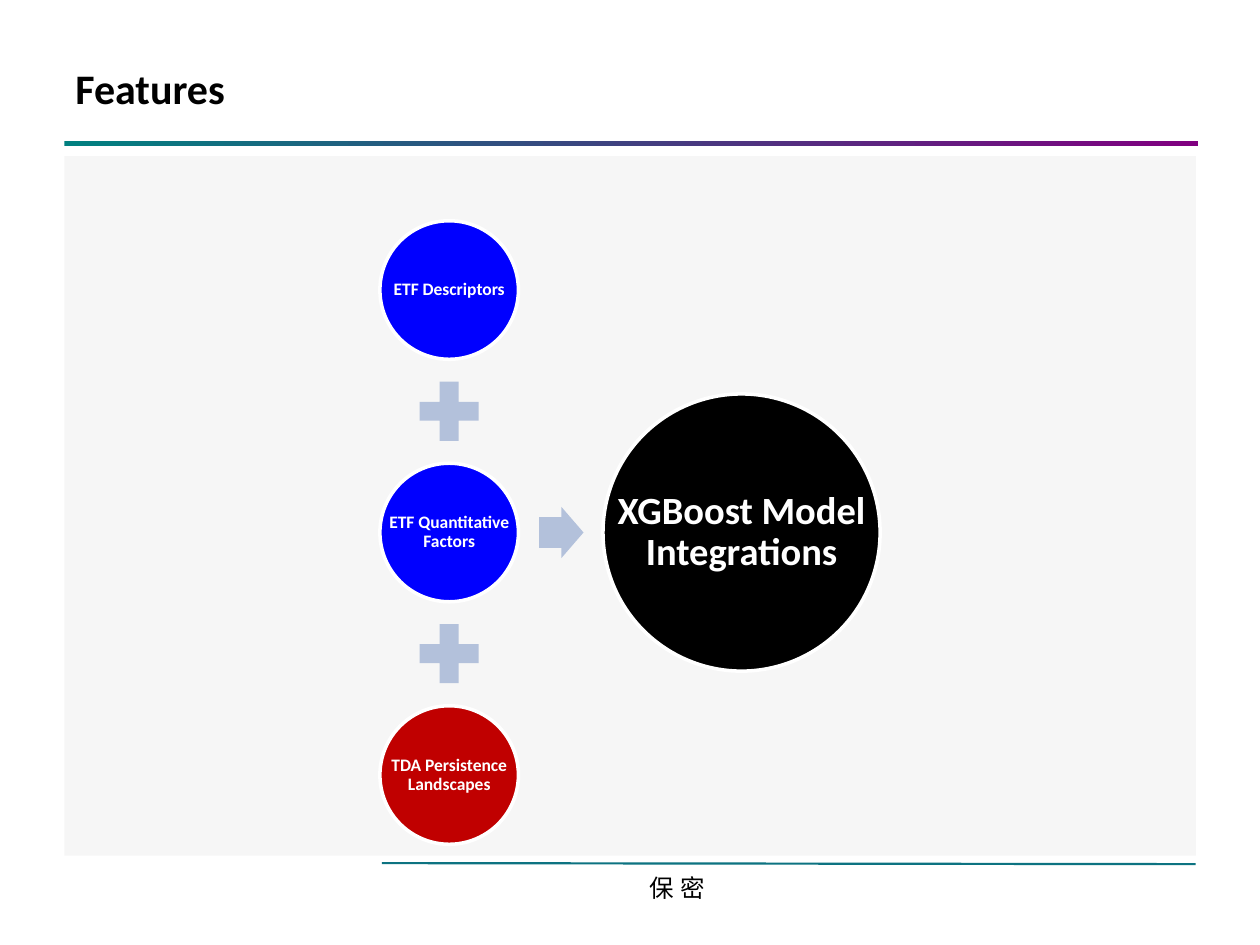
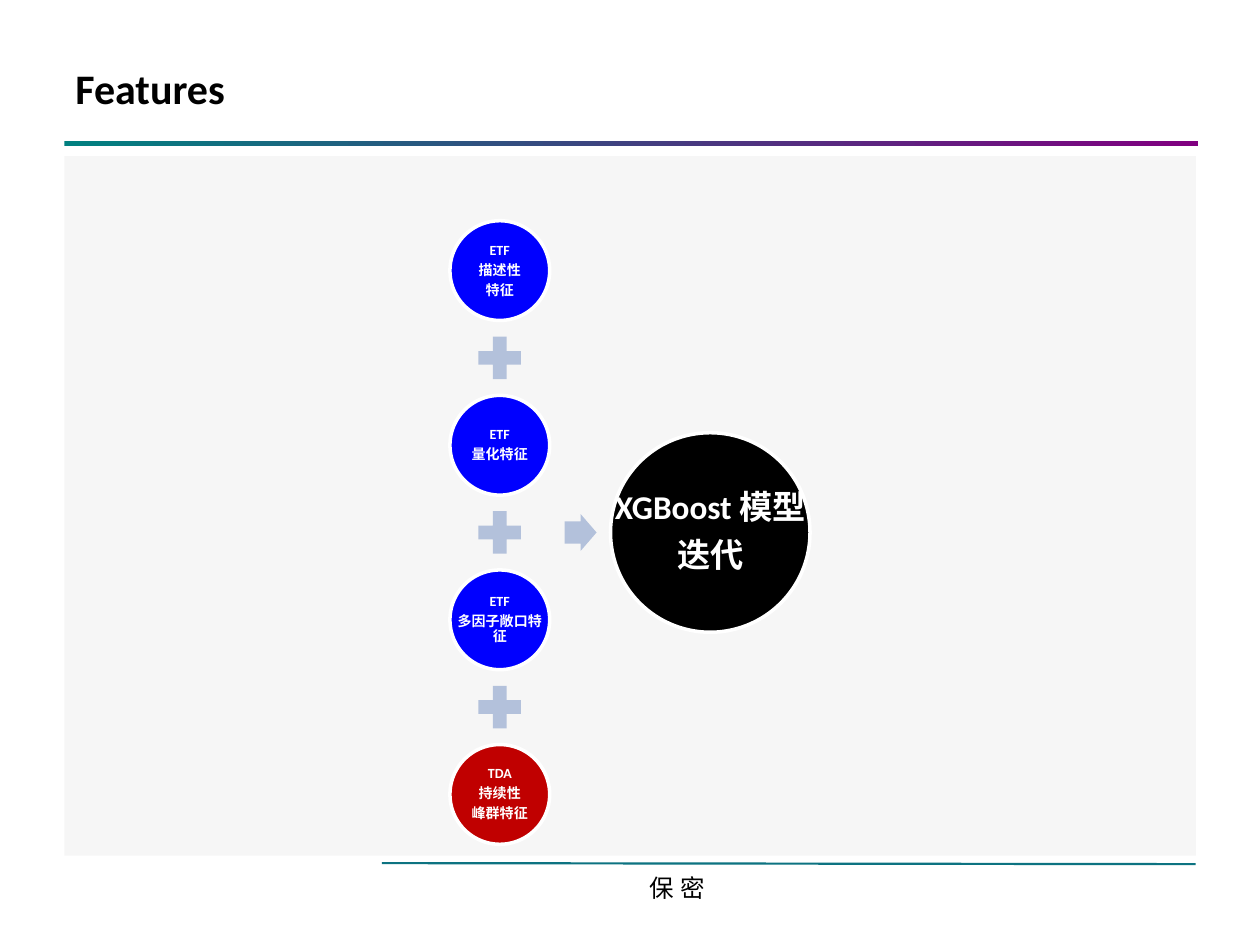
from lxml import etree
from pptx import Presentation
from pptx import util as u
from pptx.dml.color import RGBColor
from pptx.enum import shapes, text
from pptx.oxml import ns

Cm, Pt = u.Cm, u.Pt
KIND = shapes.MSO_SHAPE
LATIN, CHINESE = "Calibri", "Noto Sans CJK SC"
COLORS = {
    "teal": "018080", "purple": "800080", "footer": "0D7381", "panel": "969696",
    "feature": "0000FF", "topology": "C00000", "model": "000000",
    "sign": "B3C1DB", "white": "FFFFFF", "ink": "000000",
}
PAGE_W, PAGE_H = 25.4, 19.05
CHAIN_TOP, CHAIN_H = 4.45, 12.57
# Sizes and gaps of the diagram, as multiples of a feature circle's diameter
GAP, PLUS, MODEL = 0.75, 0.58, 2
ARROW_W, ARROW_H, BEFORE_ARROW, AFTER_ARROW = 0.32, 0.37, 0.15, 0.14

DIAGRAMS = [
    {
        "features": ["ETF Descriptors", "ETF Quantitative Factors",
                     "TDA Persistence Landscapes"],
        "model": "XGBoost Model Integrations",
        "feature_size": 10, "model_size": 22,
    },
    {
        "features": ["ETF\n描述性\n特征", "ETF\n量化特征",
                     "ETF\n多因子敞口特征", "TDA\n持续性\n峰群特征"],
        "model": "XGBoost 模型\n迭代",
        "feature_size": 8, "model_size": 19,
    },
]


def add_text(slide, words, box, size, color="ink", font=LATIN, bold=True,
             align=text.PP_ALIGN.CENTER, anchor=text.MSO_ANCHOR.MIDDLE,
             inset=None, wrap=True, spacing=None, after=0):
    """Add a text box at box (cm), one paragraph per line of words."""
    frame = slide.shapes.add_textbox(*map(Cm, box)).text_frame
    frame.word_wrap = wrap
    frame.vertical_anchor = anchor
    if inset is not None:
        frame.margin_left = frame.margin_right = Cm(inset)
        frame.margin_top = frame.margin_bottom = Cm(inset)
    for number, line in enumerate(words.split("\n")):
        paragraph = frame.add_paragraph() if number else frame.paragraphs[0]
        paragraph.alignment = align
        paragraph.line_spacing = spacing
        paragraph.space_after = Pt(after)
        run = paragraph.add_run()
        run.text = line
        run.font.name, run.font.size, run.font.bold = font, Pt(size), bold
        run.font.color.rgb = RGBColor.from_string(COLORS[color])
        east_asian = etree.SubElement(run.font._element, ns.qn("a:ea"))
        east_asian.set("typeface", CHINESE)


def add_figure(slide, kind, box, color, outline=None):
    """Add a filled preset shape at box (cm), with an optional 2 pt outline."""
    figure = slide.shapes.add_shape(kind, *map(Cm, box))
    figure.shadow.inherit = False
    figure.fill.solid()
    figure.fill.fore_color.rgb = RGBColor.from_string(COLORS[color])
    if outline:
        figure.line.color.rgb = RGBColor.from_string(COLORS[outline])
        figure.line.width = Pt(2)
    else:
        figure.line.fill.background()
    return figure


deck = Presentation()
deck.slide_width, deck.slide_height = Cm(PAGE_W), Cm(PAGE_H)

for diagram in DIAGRAMS:
    slide = deck.slides.add_slide(deck.slide_layouts[6])

    # Shared frame: footer line, title band, panel, footer and title
    footer_line = slide.shapes.add_connector(
        shapes.MSO_CONNECTOR.STRAIGHT, Cm(7.7), Cm(17.4), Cm(24.1), Cm(17.42))
    footer_line.line.color.rgb = RGBColor.from_string(COLORS["footer"])
    footer_line.line.width = Pt(1.25)
    etree.SubElement(footer_line._element.spPr, ns.qn("a:effectLst"))

    band = add_figure(slide, KIND.RECTANGLE, (1.3, 2.84, 22.86, 0.1), "teal")
    band.fill.gradient()
    band.fill.gradient_angle = 0
    for stop, position, color in zip(band.fill.gradient_stops, (0, 1),
                                     ("teal", "purple")):
        stop.position = position
        stop.color.rgb = RGBColor.from_string(COLORS[color])

    panel = add_figure(slide, KIND.RECTANGLE, (1.3, 3.15, 22.81, 14.1), "panel")
    panel_color = panel._element.spPr.find(".//" + ns.qn("a:srgbClr"))
    etree.SubElement(panel_color, ns.qn("a:alpha")).set("val", "8000")

    add_text(slide, "保 密", (12.78, 17.48, 1.75, 0.84), 14, font=CHINESE,
             bold=False, anchor=text.MSO_ANCHOR.TOP, wrap=False)
    add_text(slide, "Features", (1.27, 0.76, 22.86, 2.01), 24,
             align=text.PP_ALIGN.LEFT)

    # The column of features fills the height; the whole diagram is centred
    features = diagram["features"]
    count = len(features)
    size = CHAIN_H / (count + GAP * (count - 1))
    width = size * (1 + BEFORE_ARROW + ARROW_W + AFTER_ARROW + MODEL)
    left = (PAGE_W - width) / 2
    middle = CHAIN_TOP + CHAIN_H / 2

    for index, feature in enumerate(features):
        top = CHAIN_TOP + index * size * (1 + GAP)
        circle = (left, top, size, size)
        last = index == count - 1
        add_figure(slide, KIND.OVAL, circle,
                   "topology" if last else "feature", "white")
        add_text(slide, feature, circle, diagram["feature_size"], "white",
                 inset=0.03, spacing=0.9, after=0.35 * diagram["feature_size"])
        if not last:
            plus = size * PLUS
            add_figure(slide, KIND.MATH_PLUS,
                       (left + (size - plus) / 2,
                        top + size + (size * GAP - plus) / 2, plus, plus), "sign")

    arrow_left = left + size * (1 + BEFORE_ARROW)
    arrow = add_figure(slide, KIND.RIGHT_ARROW,
                       (arrow_left, middle - size * ARROW_H / 2,
                        size * ARROW_W, size * ARROW_H), "sign")
    arrow.adjustments[0], arrow.adjustments[1] = 0.6, 0.5

    model_left = arrow_left + size * (ARROW_W + AFTER_ARROW)
    circle = (model_left, middle - size * MODEL / 2, size * MODEL, size * MODEL)
    add_figure(slide, KIND.OVAL, circle, "model", "white")
    add_text(slide, diagram["model"], circle, diagram["model_size"], "white",
             inset=0.08, spacing=0.9, after=0.35 * diagram["model_size"])

deck.save("out.pptx")
